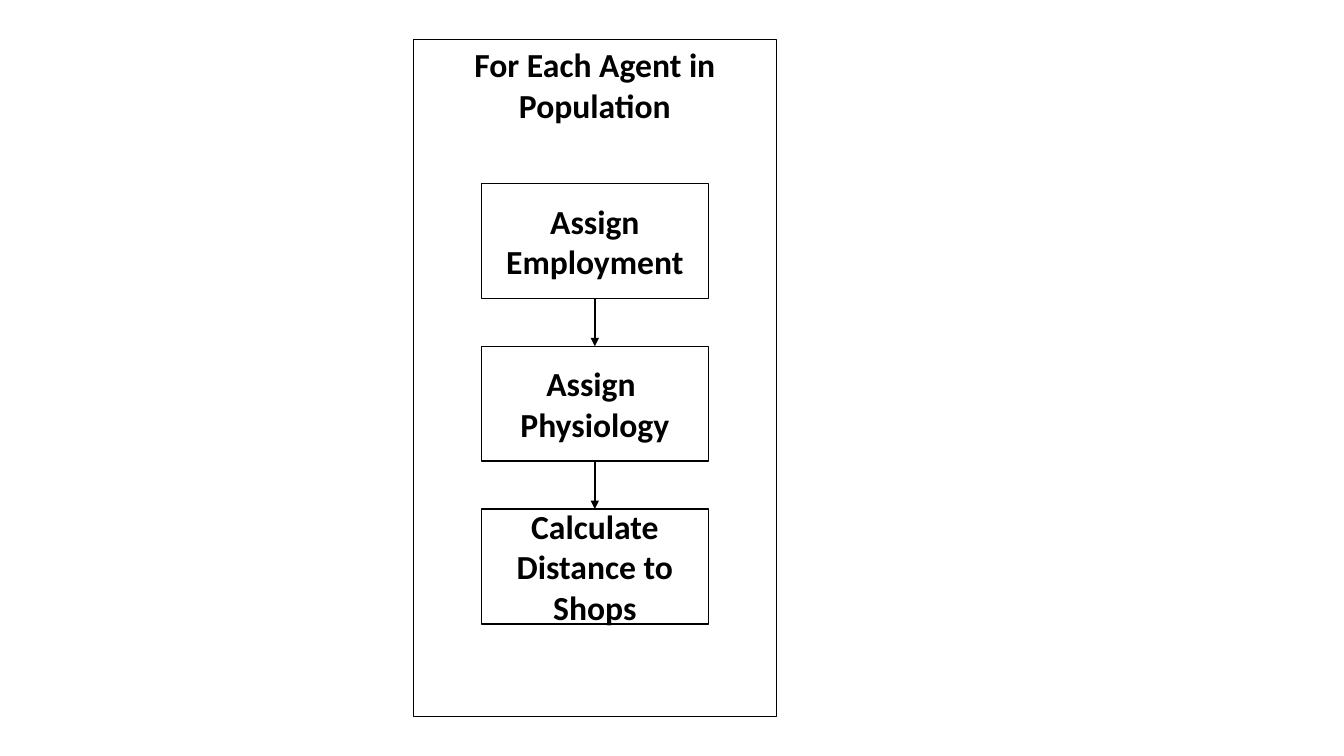
import pptx
import pptx.util
import pptx.dml.color
import pptx.enum.shapes
import pptx.enum.text
import pptx.oxml
import pptx.oxml.ns
from dataclasses import dataclass

Inches = pptx.util.Inches
Pt = pptx.util.Pt
ANCHOR = pptx.enum.text.MSO_ANCHOR

HEAD = "For Each Agent in Population"
STEPS = ["Assign Employment", "Assign \nPhysiology", "Calculate Distance to Shops"]


@dataclass
class Theme:
    ink = pptx.dml.color.RGBColor(0, 0, 0)
    font = "Calibri"
    size = Pt(24)
    edge = Pt(1)
    arrow = Pt(1.75)


FRAME = (4.1, 0.39, 3.6, 6.72)
WIDE, HIGH = 2.25, 1.14
TOP, PITCH = 1.82, 1.615
MID = FRAME[0] + FRAME[2] / 2


def style(box, text, anchor):
    box.fill.background()
    box.line.color.rgb = Theme.ink
    box.line.width = Theme.edge
    frame = box.text_frame
    frame.text = text
    frame.word_wrap = True
    frame.auto_size = pptx.enum.text.MSO_AUTO_SIZE.NONE
    frame.vertical_anchor = anchor
    for para in frame.paragraphs:
        para.alignment = pptx.enum.text.PP_ALIGN.CENTER
        for run in para.runs:
            run.font.name = Theme.font
            run.font.size = Theme.size
            run.font.bold = True
            run.font.color.rgb = Theme.ink


def link(slide, start, end):
    line = slide.shapes.add_connector(
        pptx.enum.shapes.MSO_CONNECTOR.STRAIGHT, 0, 0, 0, 0)
    line.begin_connect(start, 2)
    line.end_connect(end, 0)
    line.line.color.rgb = Theme.ink
    line.line.width = Theme.arrow
    space = pptx.oxml.ns.nsdecls("a")
    stroke = line.line._get_or_add_ln()
    stroke.append(pptx.oxml.parse_xml(f'<a:tailEnd {space} type="triangle"/>'))
    line._element.spPr.append(pptx.oxml.parse_xml(f"<a:effectLst {space}/>"))


deck = pptx.Presentation()
deck.slide_width = Inches(13.33)
deck.slide_height = Inches(7.5)
slide = deck.slides.add_slide(deck.slide_layouts[5])

title = slide.shapes.title
title.left, title.top, title.width, title.height = map(Inches, FRAME)
style(title, HEAD, ANCHOR.TOP)

boxes = []
for row, step in enumerate(STEPS):
    place = (MID - WIDE / 2, TOP + row * PITCH, WIDE, HIGH)
    box = slide.shapes.add_shape(
        pptx.enum.shapes.MSO_SHAPE.RECTANGLE, *map(Inches, place))
    box.shadow.inherit = False
    style(box, step, ANCHOR.MIDDLE)
    boxes.append(box)

for start, end in zip(boxes, boxes[1:]):
    link(slide, start, end)

deck.save("out.pptx")
